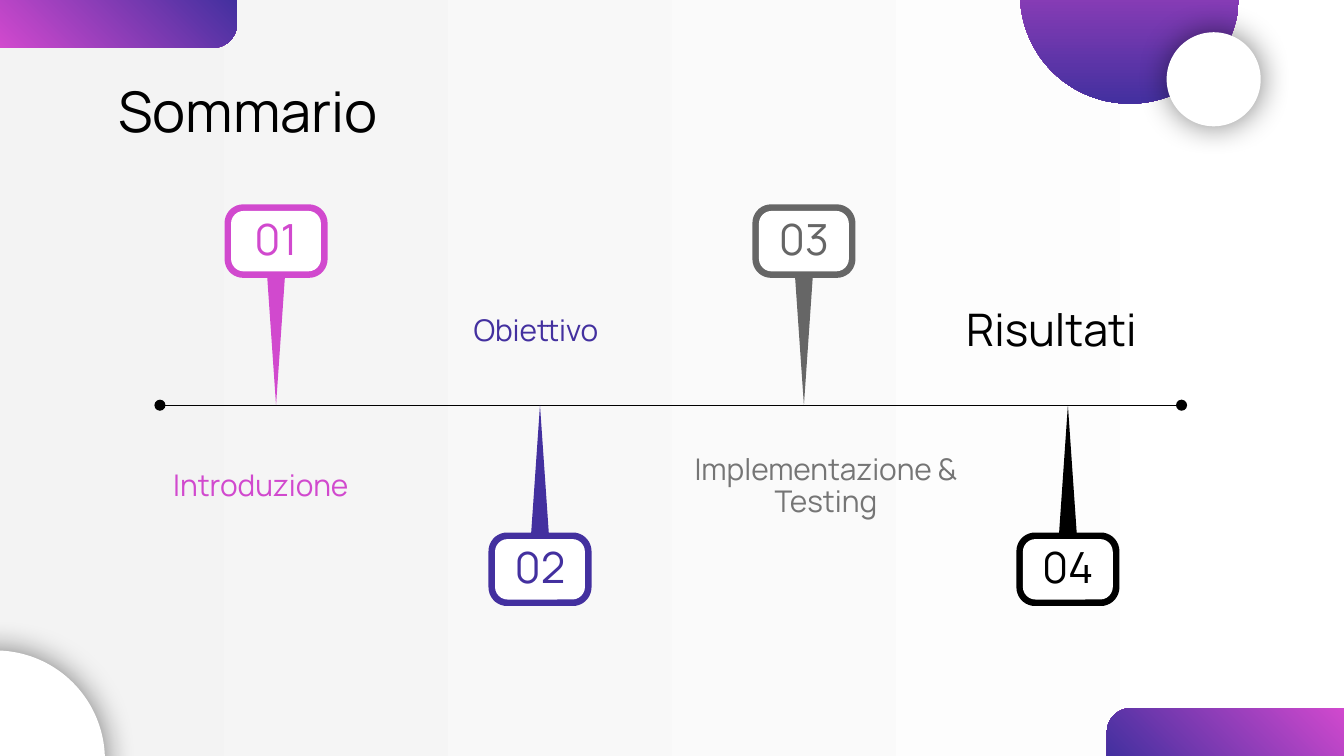
from math import cos, pi, sin

from lxml import etree
from pptx import Presentation
from pptx.dml.color import RGBColor
from pptx.enum.shapes import MSO_CONNECTOR, MSO_SHAPE
from pptx.enum.text import MSO_ANCHOR, PP_ALIGN
from pptx.oxml.ns import qn
from pptx.util import Pt

ELLIPSE = MSO_SHAPE.OVAL
CORNER_RECT = MSO_SHAPE.ROUND_1_RECTANGLE
ROUND_RECT = MSO_SHAPE.ROUNDED_RECTANGLE
STRAIGHT = MSO_CONNECTOR.STRAIGHT
MIDDLE = MSO_ANCHOR.MIDDLE
LEFT, CENTER = PP_ALIGN.LEFT, PP_ALIGN.CENTER

FONT = "Manrope"
WHITE = RGBColor(0xFF, 0xFF, 0xFF)
PALE = RGBColor(0xF3, 0xF3, 0xF3)
BLACK = RGBColor(0, 0, 0)
PINK = RGBColor(0xD1, 0x49, 0xCE)
VIOLET = RGBColor(0x43, 0x30, 0x9F)
GRAY = RGBColor(0x66, 0x66, 0x66)
LABEL_GRAY = RGBColor(0x75, 0x75, 0x75)

AXIS_Y = 217.1
FIRST_X, STEP = 147.9, 141.4
HEAD_W, HEAD_H, HEAD_R = 55.2, 39.4, 10
PIN_H, NECK_W = 107.6, 9.4
BORDER = 3.5

# number, colour, direction (-1 above the axis, 1 below)
PINS = [("01", PINK, -1), ("02", VIOLET, 1), ("03", GRAY, -1), ("04", BLACK, 1)]

# text, box, size, colour, alignment
LABELS = [
    ("Introduzione", (85.7, 247, 123.8, 28), 16, PINK, LEFT),
    ("Obiettivo", (246.6, 163.8, 123.8, 28), 16, VIOLET, LEFT),
    ("Implementazione & Testing", (359.3, 247, 166.3, 28), 16, LABEL_GRAY, CENTER),
    ("Risultati", (510.5, 163.8, 123.8, 28), 24, BLACK, LEFT),
]


def set_gradient(fill, start, end, clockwise):
    fill.gradient()
    fill.gradient_angle = (360 - clockwise) % 360
    for stop, color, position in zip(fill.gradient_stops, (start, end), (0, 1)):
        stop.color.rgb = color
        stop.position = position


def set_solid(sp, color):
    sp.shadow.inherit = False
    sp.fill.solid()
    sp.fill.fore_color.rgb = color
    sp.line.fill.background()


def write(sp, text, size, color, align):
    tf = sp.text_frame
    tf.word_wrap = True
    tf.vertical_anchor = MIDDLE
    tf.margin_left = tf.margin_right = tf.margin_top = tf.margin_bottom = Pt(7.2)
    tf.text = text
    p = tf.paragraphs[0]
    p.alignment = align
    p.line_spacing = 0.9
    font = p.runs[0].font
    font.name, font.size, font.color.rgb = FONT, Pt(size), color


def add_solid(s, kind, box, color):
    sp = s.shapes.add_shape(kind, *map(Pt, box))
    set_solid(sp, color)
    return sp


def add_gradient(s, kind, box, angle):
    sp = add_solid(s, kind, box, PINK)
    set_gradient(sp.fill, PINK, VIOLET, angle)
    return sp


def add_corner_tab(s, left, top, rotation):
    sp = add_gradient(s, CORNER_RECT, (left, top, 127, 25.6), 45)
    sp.adjustments[0] = 0.5
    sp.rotation = rotation
    sp._element.spPr.find(qn("a:xfrm")).set("flipH", "1")


def add_glowing_circle(s, left, top, size):
    """White disc with a soft shadow on all sides."""
    sp = add_solid(s, ELLIPSE, (left, top, size, size), WHITE)
    effects = sp._element.spPr.find(qn("a:effectLst"))
    shadow = etree.SubElement(effects, qn("a:outerShdw"), blurRad=str(Pt(16.9)),
                              dist="0", dir="0", algn="ctr", rotWithShape="0")
    color = etree.SubElement(shadow, qn("a:srgbClr"), val="000000")
    etree.SubElement(color, qn("a:alpha"), val="50000")


def add_text(s, text, box, size, color, align):
    write(s.shapes.add_textbox(*map(Pt, box)), text, size, color, align)


def add_axis(s):
    line = s.shapes.add_connector(STRAIGHT, Pt(85.7), Pt(AXIS_Y), Pt(633), Pt(AXIS_Y))
    line.line.color.rgb = BLACK
    line.line.width = Pt(0.75)
    spPr = line._element.spPr
    for end in ("a:headEnd", "a:tailEnd"):
        etree.SubElement(spPr.find(qn("a:ln")), qn(end), type="oval")
    etree.SubElement(spPr, qn("a:effectLst"))


def pin_outline():
    """Points of a pin hanging from its tip at (0, 0), with rounded head corners."""
    near, far = PIN_H - HEAD_H + HEAD_R, PIN_H - HEAD_R
    side = HEAD_W / 2 - HEAD_R
    corners = [(side, near, -90), (side, far, 0), (-side, far, 90), (-side, near, 180)]
    points = [(0, 0), (NECK_W / 2, PIN_H - HEAD_H)]
    for x, y, start in corners:
        for turn in range(0, 91, 10):
            a = (start + turn) * pi / 180
            points.append((x + HEAD_R * cos(a), y + HEAD_R * sin(a)))
    return points + [(-NECK_W / 2, PIN_H - HEAD_H)]


def add_pin(s, x, number, color, direction):
    points = [(Pt(x + dx), Pt(AXIS_Y + direction * dy)) for dx, dy in pin_outline()]
    builder = s.shapes.build_freeform(*points[0])
    builder.add_line_segments(points[1:])
    set_solid(builder.convert_to_shape(), color)

    w, h = HEAD_W - 2 * BORDER, HEAD_H - 2 * BORDER
    middle = AXIS_Y + direction * (PIN_H - HEAD_H / 2)
    face = add_solid(s, ROUND_RECT, (x - w / 2, middle - h / 2, w, h), WHITE)
    face.adjustments[0] = 0.21
    write(face, number, 23, color, CENTER)


def main():
    prs = Presentation()
    prs.slide_width, prs.slide_height = Pt(720), Pt(405)
    s = prs.slides.add_slide(prs.slide_layouts[6])
    set_gradient(s.background.fill, WHITE, PALE, 180)

    add_corner_tab(s, 593, 379.4, 0)
    add_corner_tab(s, 0, 0, 180)
    add_glowing_circle(s, -61.2, 348.5, 117.4)

    add_text(s, "Sommario", (56.2, 42.5, 607.7, 37.4), 30, BLACK, LEFT)
    add_axis(s)
    for i, pin in enumerate(PINS):
        add_pin(s, FIRST_X + i * STEP, *pin)
    for label in LABELS:
        add_text(s, *label)

    add_gradient(s, ELLIPSE, (546.5, -61.9, 117.4, 117.4), 90)
    add_glowing_circle(s, 625, 17.3, 50.4)
    prs.save("out.pptx")


if __name__ == "__main__":
    main()
